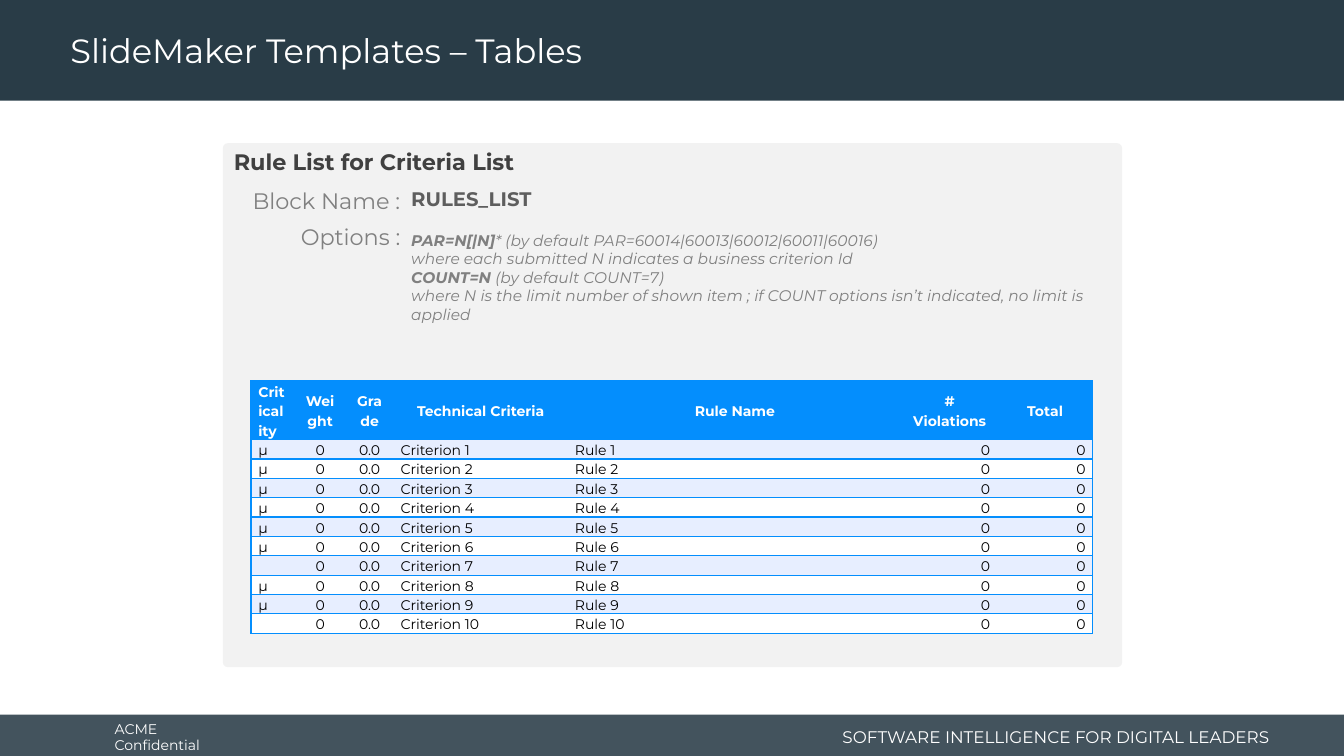
from lxml import etree
from pptx import Presentation
from pptx import util as u
from pptx.dml.color import RGBColor
from pptx.enum import shapes, text
from pptx.oxml import ns

LEFT, CENTER, RIGHT = text.PP_ALIGN.LEFT, text.PP_ALIGN.CENTER, text.PP_ALIGN.RIGHT
TOP, MIDDLE = text.MSO_ANCHOR.TOP, text.MSO_ANCHOR.MIDDLE
NAVY, BLUE, STRIPE, WHITE, BLACK = "293C47", "048EFD", "E7EEFF", "FFFFFF", "000000"
PANEL, DARK, MEDIUM, GREY = "F2F2F2", "404040", "5E5E5E", "808080"


def color(value):
    return RGBColor.from_string(value)


class SlideBuilder:
    """Draws styled elements on one slide, with lengths in percent of its size."""

    font_name = "Montserrat"

    def __init__(self, presentation):
        self.width = presentation.slide_width
        self.height = presentation.slide_height
        self.slide = presentation.slides.add_slide(presentation.slide_layouts[6])

    def x(self, share):
        return u.Emu(round(self.width * share / 100))

    def y(self, share):
        return u.Emu(round(self.height * share / 100))

    def box(self, left, top, width, height):
        return self.x(left), self.y(top), self.x(width), self.y(height)

    def block(self, place, fill, radius=None, opacity=None):
        kind = shapes.MSO_SHAPE.RECTANGLE if radius is None else shapes.MSO_SHAPE.ROUNDED_RECTANGLE
        shape = self.slide.shapes.add_shape(kind, *self.box(*place))
        shape.shadow.inherit = False
        shape.fill.solid()
        shape.fill.fore_color.rgb = color(fill)
        shape.line.fill.background()
        if radius is not None:
            shape.adjustments[0] = radius
        if opacity is not None:
            fill_color = shape.fill._xPr.find(".//" + ns.qn("a:srgbClr"))
            etree.SubElement(fill_color, ns.qn("a:alpha"), val=str(opacity * 1000))

    def style(self, paragraph, size, ink, bold=None, italic=None, align=LEFT, spacing=None):
        font = paragraph.font
        font.name, font.size, font.color.rgb = self.font_name, u.Pt(size), color(ink)
        font.bold, font.italic = bold, italic
        paragraph.alignment = align
        if spacing:
            paragraph.line_spacing = spacing

    def label(self, place, lines, size, ink, anchor=TOP, wrap=True, inset=None, **style):
        frame = self.slide.shapes.add_textbox(*self.box(*place)).text_frame
        frame.word_wrap = wrap
        frame.vertical_anchor = anchor
        if inset:
            frame.margin_left = frame.margin_right = self.x(inset)
        for index, (strong, plain) in enumerate(lines):
            paragraph = frame.paragraphs[0] if index == 0 else frame.add_paragraph()
            self.style(paragraph, size, ink, **style)
            if strong:
                run = paragraph.add_run()
                run.text, run.font.bold = strong, True
            if plain:
                paragraph.add_run().text = plain

    def border(self, cell, side, ink=None):
        line = etree.SubElement(cell._tc.get_or_add_tcPr(), ns.qn("a:ln" + side), w=str(u.Pt(1)))
        if ink:
            fill = etree.SubElement(line, ns.qn("a:solidFill"))
            etree.SubElement(fill, ns.qn("a:srgbClr"), val=ink)
        else:
            etree.SubElement(line, ns.qn("a:noFill"))

    def table(self, left, top, columns, rows, header_height, row_height):
        heights = [header_height] + [row_height] * (len(rows) - 1)
        widths = [width for width, _ in columns]
        place = self.box(left, top, sum(widths), sum(heights))
        table = self.slide.shapes.add_table(len(rows), len(columns), *place).table
        table.first_row = table.horz_banding = False
        for column, width in zip(table.columns, widths):
            column.width = self.x(width)
        for index, (values, height) in enumerate(zip(rows, heights)):
            table.rows[index].height = self.y(height)
            for position, (value, (_, align)) in enumerate(zip(values, columns)):
                self.cell(table.cell(index, position), value, index, align,
                          position == 0, position == len(columns) - 1)

    def cell(self, cell, value, index, align, first, last):
        header = index == 0
        cell.margin_left = cell.margin_right = self.x(0.54)
        cell.margin_top = cell.margin_bottom = 0
        cell.vertical_anchor = MIDDLE if header else TOP
        cell.text = value
        if header and not first:
            align = CENTER
        self.style(cell.text_frame.paragraphs[0], 10, WHITE if header else BLACK,
                   bold=header, align=align, spacing=1.15)
        self.border(cell, "L", BLUE if first else None)
        self.border(cell, "R", BLUE if last else None)
        self.border(cell, "T", BLUE)
        self.border(cell, "B", BLUE)
        cell.fill.solid()
        cell.fill.fore_color.rgb = color(BLUE if header else STRIPE if index % 2 else WHITE)


def main():
    presentation = Presentation()
    presentation.slide_width, presentation.slide_height = u.Inches(13.33), u.Inches(7.5)
    page = SlideBuilder(presentation)

    page.block((0, 94.53, 100, 5.47), NAVY, opacity=88)
    page.block((0, 0, 100, 13.33), NAVY)
    page.label((7.8, 94.8, 11.1, 5.33), [("", "ACME Confidential")], 10, WHITE,
               anchor=MIDDLE, wrap=False)
    page.label((60.84, 95.33, 34.36, 4.27), [("", "SOFTWARE INTELLIGENCE FOR DIGITAL LEADERS")],
               12, WHITE, anchor=MIDDLE, align=RIGHT)
    page.label((4.5, 0.53, 71.87, 12.8), [("", "SlideMaker Templates – Tables")], 24, WHITE,
               anchor=MIDDLE, spacing=0.9)

    page.block((16.58, 18.93, 66.92, 69.33), PANEL, radius=0.01)
    page.label((15.9, 18.93, 66.84, 4.93), [("", "Rule List for Criteria List")], 16, DARK,
               inset=1.5, bold=True)
    page.label((29.86, 24.13, 54.39, 4.53), [("", "RULES_LIST")], 14, MEDIUM, bold=True)
    page.label((18, 24.13, 12.53, 4.93), [("", "Block Name :")], 16, GREY,
               wrap=False, align=RIGHT)
    options = [
        ("PAR=N[|N]", "* (by default PAR=60014|60013|60012|60011|60016)"),
        ("", "where each submitted N indicates a business criterion Id"),
        ("COUNT=N", " (by default COUNT=7)"),
        ("", "where N is the limit number of shown item ; if COUNT options isn’t indicated, "
             "no limit is applied"),
    ]
    page.label((29.86, 29.87, 54.39, 13.73), options, 11, GREY, italic=True)
    page.label((21.46, 28.8, 9.08, 4.93), [("", "Options :")], 16, GREY,
               wrap=False, align=RIGHT)

    columns = [(3.23, LEFT), (3.83, CENTER), (3.53, CENTER), (12.98, LEFT),
               (24.87, LEFT), (7.1, RIGHT), (7.1, RIGHT)]
    rows = [["Criticality", "Weight", "Grade", "Technical Criteria", "Rule Name",
             "# Violations", "Total"]]
    for number in range(1, 11):
        mark = "" if number in (7, 10) else "µ"
        rows.append([mark, "0", "0.0", f"Criterion {number}", f"Rule {number}", "0", "0"])
    page.table(18.68, 50.4, columns, rows, header_height=7.75, row_height=2.55)

    presentation.save("out.pptx")


if __name__ == "__main__":
    main()
